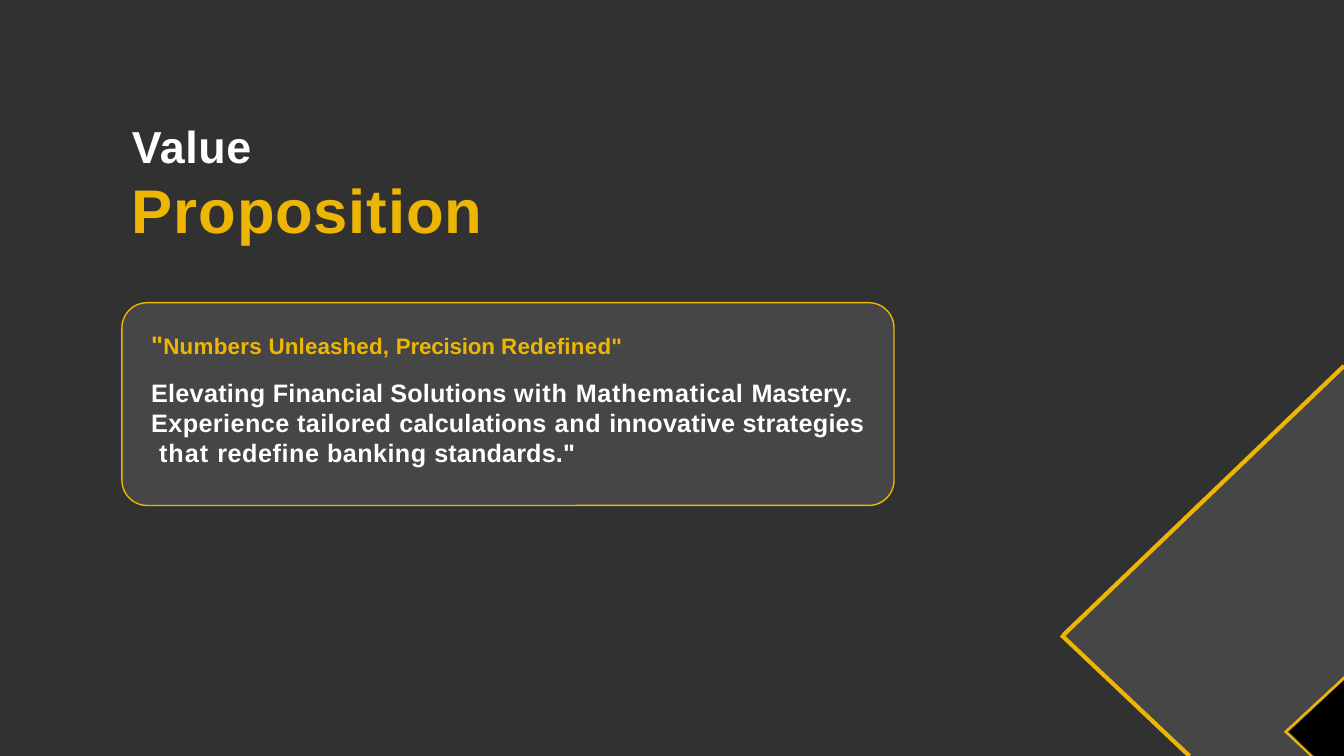
from dataclasses import dataclass

import pptx
import pptx.dml.color
import pptx.enum.shapes
import pptx.enum.text
import pptx.oxml
import pptx.util

COLOURS = {
    "background": "313131",
    "panel": "464646",
    "gold": "EEB604",
    "white": "FFFFFF",
    "black": "000000",
}
FONT = "Arial"
WIDTH, HEIGHT = pptx.util.Inches(13.333), pptx.util.Inches(7.5)
COLUMNS, ROWS = 160, 90
Point = tuple[float, float]


@dataclass(frozen=True)
class Area:
    column: float
    row: float
    columns: float
    rows: float


@dataclass(frozen=True)
class Span:
    text: str
    size: float
    colour: str
    tracking: float


@dataclass(frozen=True)
class Paragraph:
    lines: list[list[Span]]
    before: float = 0
    leading: float | None = None


@dataclass(frozen=True)
class TextBlock:
    area: Area
    paragraphs: list[Paragraph]


@dataclass(frozen=True)
class Polygon:
    points: list[Point]
    colour: str
    outline: float = 0


@dataclass(frozen=True)
class Edge:
    start: Point
    end: Point


def spans(size: float, colour: str, *parts: tuple[str, float]) -> list[Span]:
    return [Span(text, size, colour, tracking) for text, tracking in parts]


CARD = Area(14.52, 36.04, 91.92, 24.14)
CARD_RADIUS = 3

TEXTS = [
    TextBlock(Area(15.72, 14.16, 42, 15.36), [
        Paragraph([spans(32, "white", ("Value", 0.4))], leading=38),
        Paragraph([spans(44, "gold", ("Proposition", 0.6))], leading=52.5),
    ]),
    TextBlock(Area(18, 39.24, 86.4, 16.56), [
        Paragraph([
            spans(18, "gold", ('"', 0.2))
            + spans(16, "gold", ("Numbers ", 0.2), ("Unleashed, ", 0.1),
                    ("Precision ", -0.1), ('Redefined"', 0.2)),
        ]),
        Paragraph([
            spans(18, "white", ("Elevating ", 0.2), ("Financial Solutions ", 0.1),
                  ("with ", 0.6), ("Mathematical ", 0.5), ("Mastery.", 0)),
            spans(18, "white", ("Experience tailored ", 0.3), ("calculations", 0.1),
                  (" and ", 0.5), ("innovative ", 0.1), ("strategies", 0.2)),
            spans(18, "white", (" that ", 0.7), ("redefine", 0.4),
                  (" banking ", 0.3), ('standards."', 0.1)),
        ], before=12.1),
    ]),
]

LARGE_DIAMOND = Polygon([(160, 43.68), (126.84, 75.72), (141.72, 90), (160, 90)], "panel")
DIAMOND_EDGES = [
    Edge((160, 43.56), (126.6, 75.6)),
    Edge((141.6, 90), (126.36, 75.6)),
]
SMALL_DIAMOND = [
    Polygon([(160, 80.52), (152.88, 87.12), (156, 90),
             (156.24, 90), (153.24, 87.12), (160, 80.88)], "gold", 0.25),
    Polygon([(160, 81), (153.48, 87.12), (156.48, 90), (160, 90)], "black"),
]


def across(columns: float) -> int:
    return round(WIDTH * columns / COLUMNS)


def down(rows: float) -> int:
    return round(HEIGHT * rows / ROWS)


def place(area: Area) -> tuple[int, int, int, int]:
    return across(area.column), down(area.row), across(area.columns), down(area.rows)


def colour_of(name: str) -> pptx.dml.color.RGBColor:
    return pptx.dml.color.RGBColor.from_string(COLOURS[name])


def paint(shape, fill: str, line: str, width: float) -> None:
    shape.shadow.inherit = False
    shape.fill.solid()
    shape.fill.fore_color.rgb = colour_of(fill)
    if width:
        shape.line.color.rgb = colour_of(line)
        shape.line.width = pptx.util.Pt(width)
    else:
        shape.line.fill.background()


def draw_card(page) -> None:
    card = page.shapes.add_shape(
        pptx.enum.shapes.MSO_SHAPE.ROUNDED_RECTANGLE, *place(CARD))
    card.adjustments[0] = CARD_RADIUS / CARD.rows
    paint(card, "panel", "gold", 1)


def draw_polygon(page, polygon: Polygon) -> None:
    points = [(across(column), down(row)) for column, row in polygon.points]
    builder = page.shapes.build_freeform(*points[0], scale=1.0)
    builder.add_line_segments(points[1:], close=True)
    paint(builder.convert_to_shape(), polygon.colour, polygon.colour, polygon.outline)


def draw_edge(page, edge: Edge) -> None:
    line = page.shapes.add_connector(
        pptx.enum.shapes.MSO_CONNECTOR.STRAIGHT,
        across(edge.start[0]), down(edge.start[1]),
        across(edge.end[0]), down(edge.end[1]))
    line.line.color.rgb = colour_of("gold")
    line.line.width = pptx.util.Pt(3)
    line._element.spPr.append(pptx.oxml.parse_xml(
        '<a:effectLst xmlns:a="http://schemas.openxmlformats.org/drawingml/2006/main"/>'))


def write_span(para, item: Span) -> None:
    span = para.add_run()
    span.text = item.text
    span.font.name = FONT
    span.font.size = pptx.util.Pt(item.size)
    span.font.bold = True
    span.font.color.rgb = colour_of(item.colour)
    span._r.get_or_add_rPr().set("spc", str(round(item.tracking * 100)))


def draw_text(page, block: TextBlock) -> None:
    box = page.shapes.add_textbox(*place(block.area))
    frame = box.text_frame
    frame.word_wrap = True
    frame.vertical_anchor = pptx.enum.text.MSO_ANCHOR.TOP
    frame.margin_left = frame.margin_right = frame.margin_top = frame.margin_bottom = 0
    for index, paragraph in enumerate(block.paragraphs):
        para = frame.add_paragraph() if index else frame.paragraphs[0]
        para.space_before = pptx.util.Pt(paragraph.before)
        if paragraph.leading:
            para.line_spacing = pptx.util.Pt(paragraph.leading)
        for number, line in enumerate(paragraph.lines):
            if number:
                para.add_line_break()
            for item in line:
                write_span(para, item)


def main() -> None:
    deck = pptx.Presentation()
    deck.slide_width, deck.slide_height = WIDTH, HEIGHT
    page = deck.slides.add_slide(deck.slide_layouts[6])
    page.background.fill.solid()
    page.background.fill.fore_color.rgb = colour_of("background")
    draw_card(page)
    for block in TEXTS:
        draw_text(page, block)
    draw_polygon(page, LARGE_DIAMOND)
    for edge in DIAMOND_EDGES:
        draw_edge(page, edge)
    for polygon in SMALL_DIAMOND:
        draw_polygon(page, polygon)
    deck.save("out.pptx")


if __name__ == "__main__":
    main()
